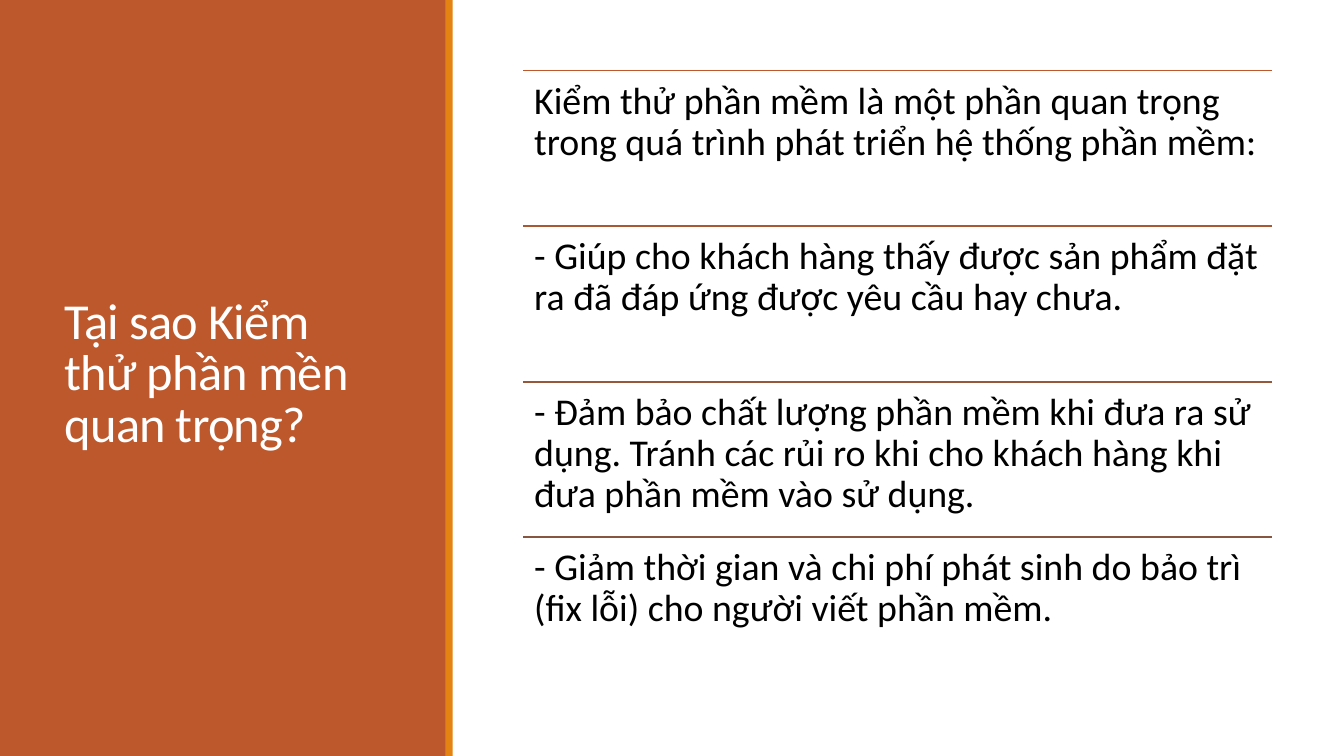
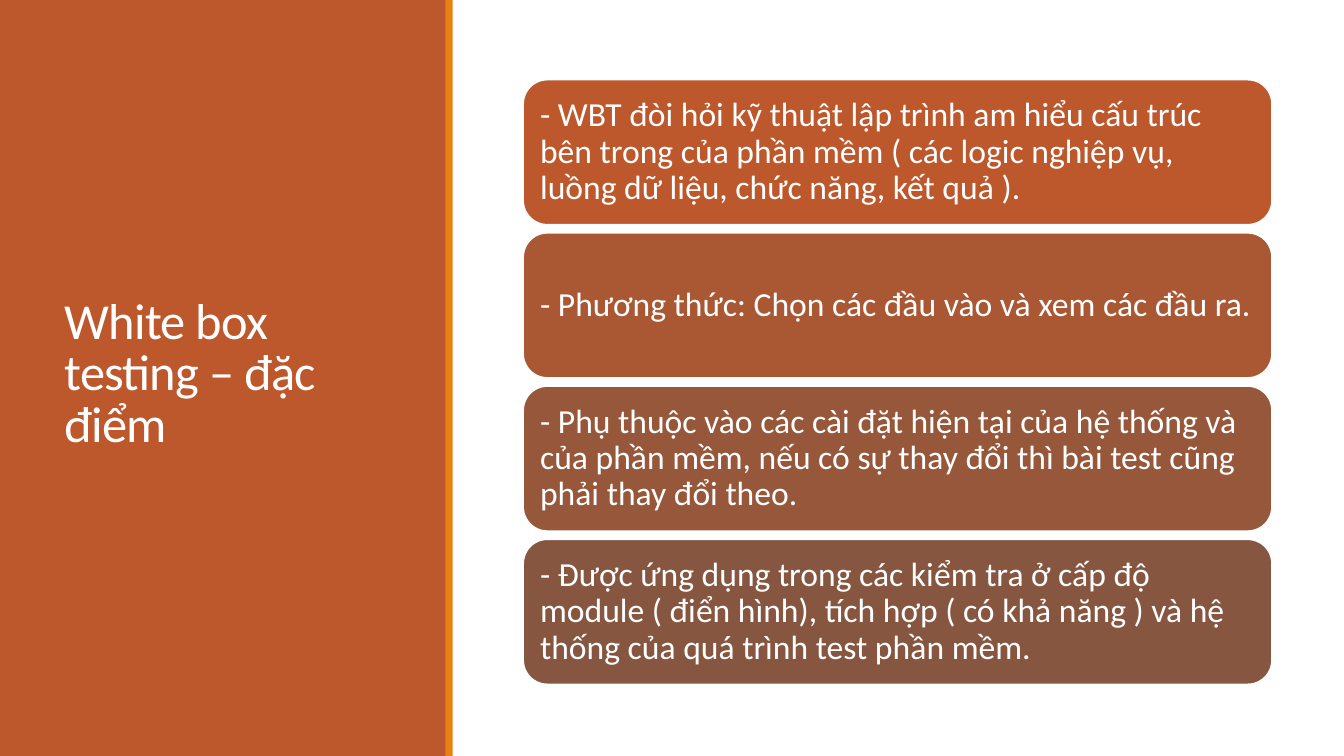
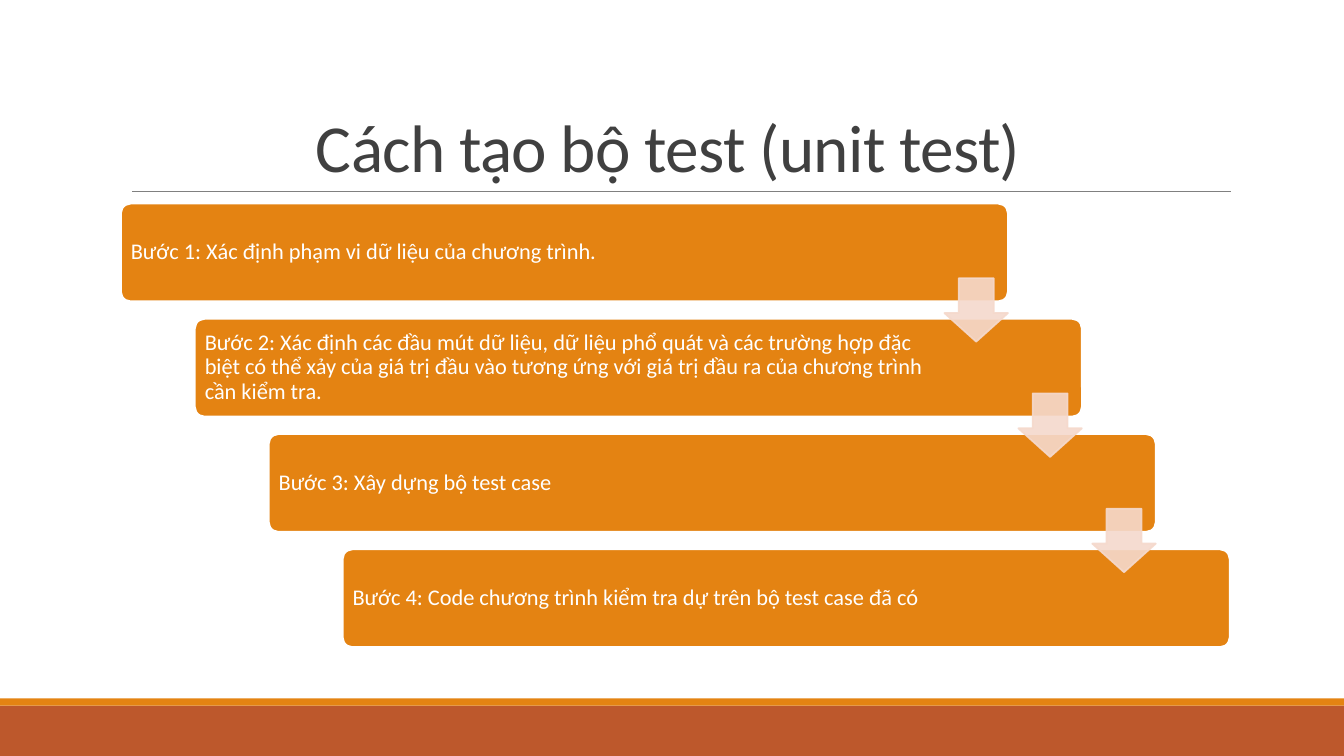
from dataclasses import dataclass

from lxml import etree
from pptx import Presentation
from pptx.dml.color import RGBColor
from pptx.enum.shapes import MSO_CONNECTOR, MSO_SHAPE
from pptx.enum.text import MSO_ANCHOR, MSO_AUTO_SIZE, PP_ALIGN
from pptx.oxml.ns import qn
from pptx.util import Inches, Pt

RECTANGLE, ROUNDED = MSO_SHAPE.RECTANGLE, MSO_SHAPE.ROUNDED_RECTANGLE
DOWN_ARROW, STRAIGHT = MSO_SHAPE.DOWN_ARROW, MSO_CONNECTOR.STRAIGHT
TOP, MIDDLE, BOTTOM = MSO_ANCHOR.TOP, MSO_ANCHOR.MIDDLE, MSO_ANCHOR.BOTTOM
LEFT, CENTER = PP_ALIGN.LEFT, PP_ALIGN.CENTER

# Combining tone marks are written as escapes so that they stay visible.
REASONS = (
    "Tại sao Kiểm thử phần mền quan trọng?",
    [
        "Kiểm thử phần mềm là một phần quan trọng trong quá trình phát triển hệ thống phần mềm:",
        "- Giúp cho khách hàng thấy được sản phẩm đặt ra đã đáp ứng được yêu cầu hay chưa.",
        "- Đa\u0309m ba\u0309o châ\u0301t lu\u031b\u01a1\u0323ng phâ\u0300n mê\u0300m khi đưa ra "
        "sư\u0309 du\u0323ng. Tránh các rủi ro khi cho khách hàng khi đưa phần mềm vào sử dụng.",
        "- Gia\u0309m thời gian và chi phí phát sinh do ba\u0309o tri\u0300 (fix lỗi) cho "
        "ngu\u031b\u01a1\u0300i viê\u0301t phâ\u0300n mê\u0300m.",
    ],
)
FEATURES = (
    "White box testing – đặc điểm",
    [
        "- WBT đo\u0300i ho\u0309i kỹ thuật lập tri\u0300nh am hiê\u0309u câ\u0301u tru\u0301c "
        "bên trong cu\u0309a phâ\u0300n mê\u0300m ( ca\u0301c logic nghiệp vụ, "
        "luô\u0300ng dư\u0303 liệu, chư\u0301c năng, kê\u0301t qua\u0309 ).",
        "- Phương thư\u0301c: Chọn các đầu vào và xem các đầu ra.",
        "- Phu\u0323 thuộc vào các cài đặt hiện ta\u0323i cu\u0309a hệ thống và cu\u0309a "
        "phâ\u0300n mê\u0300m, nê\u0301u có sư\u0323 thay đô\u0309i thì bài test "
        "cu\u0303ng pha\u0309i thay đô\u0309i theo.",
        "- Được ư\u0301ng du\u0323ng trong các kiê\u0309m tra ở câ\u0301p độ module "
        "( điê\u0309n hình), tích hơ\u0323p ( có khả năng ) và hệ thống cu\u0309a quá trình "
        "test phâ\u0300n mê\u0300m.",
    ],
)
STEPS = (
    "Cách tạo bộ test (unit test) ",
    [
        "Bước 1: Xác định phạm vi dữ liệu của chương trình.",
        "Bước 2: Xác định các đầu mút dữ liệu, dữ liệu phổ quát và các trường hợp đặc biệt "
        "có thể xảy của giá trị đầu vào tương ứng với giá trị đầu ra của chương trình cần kiểm tra.",
        "Bước 3: Xây dựng bộ test case",
        "Bước 4: Code chương trình kiểm tra dự trên bộ test case đã có",
    ],
)


@dataclass(frozen=True)
class Theme:
    """Colours, font and type sizes of the deck."""
    font: str = "Calibri"
    white: str = "FFFFFF"
    black: str = "000000"
    heading: str = "404040"
    rule: str = "808080"
    rust: str = "BD582C"
    orange: str = "E48312"
    arrow: str = "F5D9CC"
    shades: tuple = ("BD582C", "AA5834", "97573A", "865640")
    side_title: int = 36
    top_title: int = 48
    reason: int = 27
    feature: int = 24
    step: int = 16
    outline: float = 1.25


THEME = Theme()
WIDTH, HEIGHT = 40 / 3, 7.5
PANEL_WIDTH, STRIPE = 4.43, 0.07
COLUMN_LEFT, COLUMN_WIDTH = 5.19, 7.43


def write(shape, text, size, color, anchor=TOP, align=LEFT, line_spacing=0.9,
          insets=(0.1, 0.05, 0.1, 0.05), tracking=None):
    """Put one formatted paragraph into a shape; insets run left, top, right, bottom."""
    frame = shape.text_frame
    frame.word_wrap, frame.auto_size = True, MSO_AUTO_SIZE.NONE
    frame.vertical_anchor = anchor
    (frame.margin_left, frame.margin_top,
     frame.margin_right, frame.margin_bottom) = map(Inches, insets)
    para = frame.paragraphs[0]
    para.alignment, para.line_spacing = align, line_spacing
    para.space_before = para.space_after = Pt(0)
    span = para.add_run()
    span.text = text
    span.font.name, span.font.size = THEME.font, Pt(size)
    span.font.color.rgb = RGBColor.from_string(color)
    if tracking is not None:
        span.font._element.set("spc", str(round(tracking * 100)))


def add_block(page, kind, area, fill, outline=None, adjustments=()):
    """Add a filled preset shape without shadow."""
    block = page.shapes.add_shape(kind, *map(Inches, area))
    block.shadow.inherit = False
    block.fill.solid()
    block.fill.fore_color.rgb = RGBColor.from_string(fill)
    if outline:
        block.line.color.rgb = RGBColor.from_string(outline)
        block.line.width = Pt(THEME.outline)
    else:
        block.line.fill.background()
    for index, value in enumerate(adjustments):
        block.adjustments[index] = value
    return block


def add_rule(page, left, top, width, color, weight):
    """Add a horizontal line without shadow."""
    rule = page.shapes.add_connector(
        STRAIGHT, *map(Inches, (left, top, left + width, top)))
    rule.line.color.rgb = RGBColor.from_string(color)
    rule.line.width = Pt(weight)
    etree.SubElement(rule._element.spPr, qn("a:effectLst"))


def set_opacity(shape, percent):
    """Make every solid colour of a shape partly transparent."""
    for color in shape._element.spPr.iter(qn("a:srgbClr")):
        etree.SubElement(color, qn("a:alpha")).set("val", str(percent * 1000))


def place_title(page, text, area, **style):
    """Move the title placeholder above the bands and format it."""
    title = page.shapes.title
    title.left, title.top, title.width, title.height = map(Inches, area)
    title._element.getparent().append(title._element)
    write(title, text, line_spacing=0.85, tracking=-0.5, **style)


def add_page(deck):
    """Add a title-only slide."""
    return deck.slides.add_slide(deck.slide_layouts[5])


def add_master_bands(deck, page):
    """Draw the foot bands on a page and hand them to the slide master."""
    bands = [
        add_block(page, RECTANGLE, (0, 7, WIDTH, HEIGHT - 7), THEME.rust),
        add_block(page, RECTANGLE, (0, 7 - STRIPE, WIDTH, STRIPE), THEME.orange),
    ]
    for band in bands:
        deck.slide_master.shapes._spTree.append(band._element)


def add_side_page(deck, title):
    """Add a slide with its title in a coloured panel on a white backdrop."""
    page = add_page(deck)
    add_block(page, RECTANGLE, (0, 0, WIDTH, HEIGHT), THEME.white)
    add_block(page, RECTANGLE, (0, 0, PANEL_WIDTH, HEIGHT), THEME.rust)
    place_title(page, title, (0.54, 0.57, 3.37, 6.31),
                size=THEME.side_title, color=THEME.white, anchor=MIDDLE)
    add_block(page, RECTANGLE, (PANEL_WIDTH - 0.01, 0, STRIPE, HEIGHT), THEME.orange)
    return page


def add_top_page(deck, title):
    """Add a slide with a centred title above a rule."""
    page = add_page(deck)
    add_rule(page, 1.31, 1.9, 10.9, THEME.rule, 0.5)
    place_title(page, title, (1.2, 0.31, 11, 1.59), size=THEME.top_title,
                color=THEME.heading, anchor=BOTTOM, align=CENTER)
    return page


def build_reasons(deck, title, reasons):
    """List the reasons, each under its own rule."""
    page = add_side_page(deck, title)
    first, last = 0.7, 5.33
    pitch = (last - first) / (len(reasons) - 1)
    for row, (reason, shade) in enumerate(zip(reasons, THEME.shades)):
        top = first + row * pitch
        add_rule(page, COLUMN_LEFT, top, COLUMN_WIDTH, shade, THEME.outline)
        box = page.shapes.add_textbox(
            *map(Inches, (COLUMN_LEFT, top, COLUMN_WIDTH, pitch)))
        write(box, reason, THEME.reason, THEME.black, insets=(0.11,) * 4)
    return page


def build_features(deck, title, features):
    """Stack the features as rounded cards."""
    page = add_side_page(deck, title)
    first, height, gap = 0.79, 1.44, 0.08
    for row, (feature, shade) in enumerate(zip(features, THEME.shades)):
        area = (COLUMN_LEFT, first + row * (height + gap), COLUMN_WIDTH, height)
        card = add_block(page, ROUNDED, area, shade, THEME.white)
        write(card, feature, THEME.feature, THEME.white, MIDDLE, insets=(0.1,) * 4)


def build_steps(deck, title, steps):
    """Draw the steps as a staircase joined by arrows."""
    page = add_top_page(deck, title)
    width, height, arrow_size = 8.8, 0.97, 0.63
    first_left, first_top, last_left, last_top = 1.2, 2.02, 3.4, 5.45
    gaps = len(steps) - 1
    corners = [(first_left + row * (last_left - first_left) / gaps,
                first_top + row * (last_top - first_top) / gaps)
               for row in range(len(steps))]
    for step, (left, top) in zip(steps, corners):
        card = add_block(page, ROUNDED, (left, top, width, height),
                         THEME.orange, THEME.white, [0.1])
        write(card, step, THEME.step, THEME.white, MIDDLE,
              insets=(0.07, 0.07, 1.46, 0.07))
    for left, top in corners[:-1]:
        area = (left + width - arrow_size, top + 0.74, arrow_size, arrow_size)
        arrow = add_block(page, DOWN_ARROW, area, THEME.arrow, THEME.arrow, [0.55, 0.45])
        set_opacity(arrow, 90)


def main():
    """Build and save the deck."""
    deck = Presentation()
    deck.slide_width, deck.slide_height = Inches(WIDTH), Inches(HEIGHT)
    opening = build_reasons(deck, *REASONS)
    add_master_bands(deck, opening)
    build_features(deck, *FEATURES)
    build_steps(deck, *STEPS)
    deck.save("out.pptx")


main()
